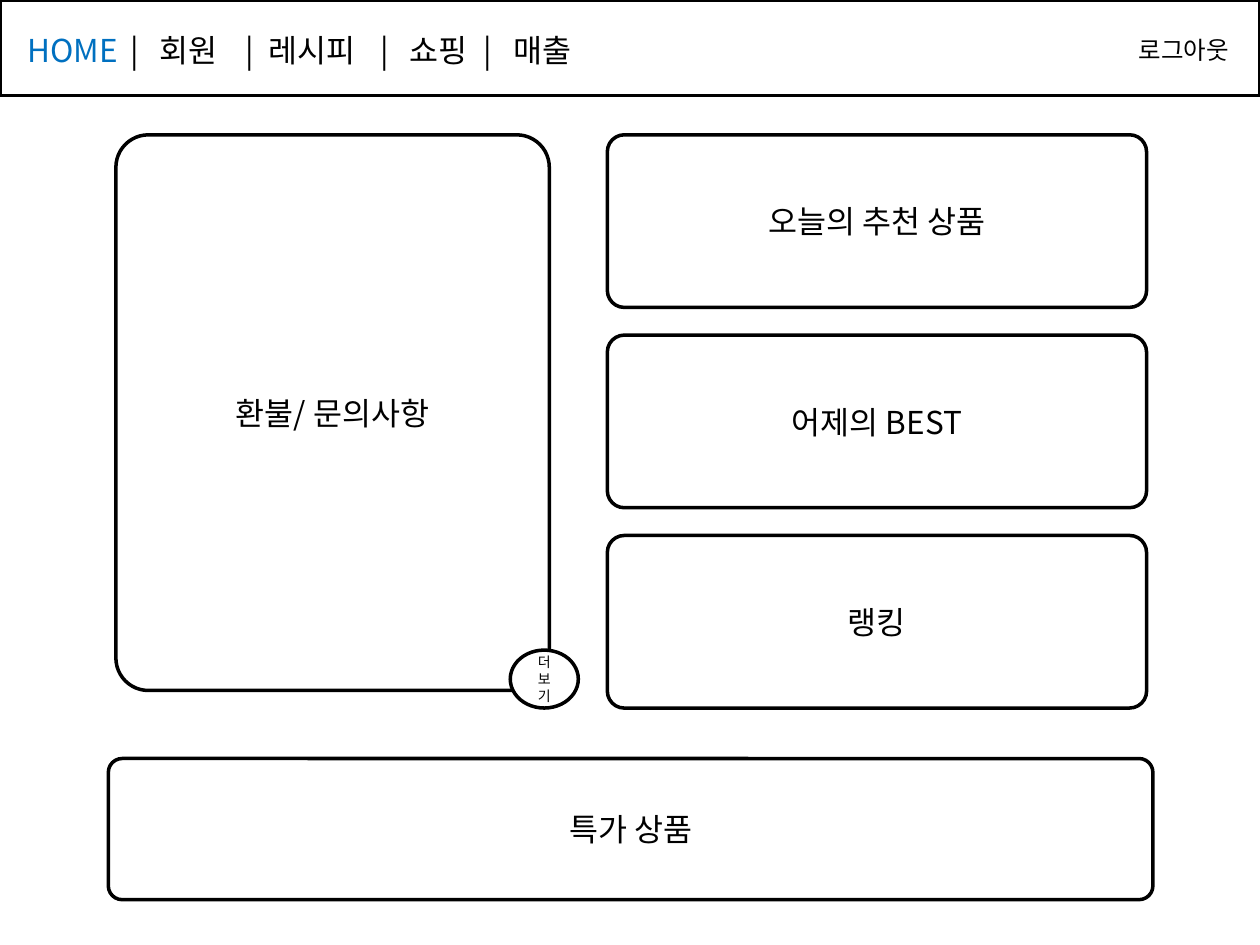
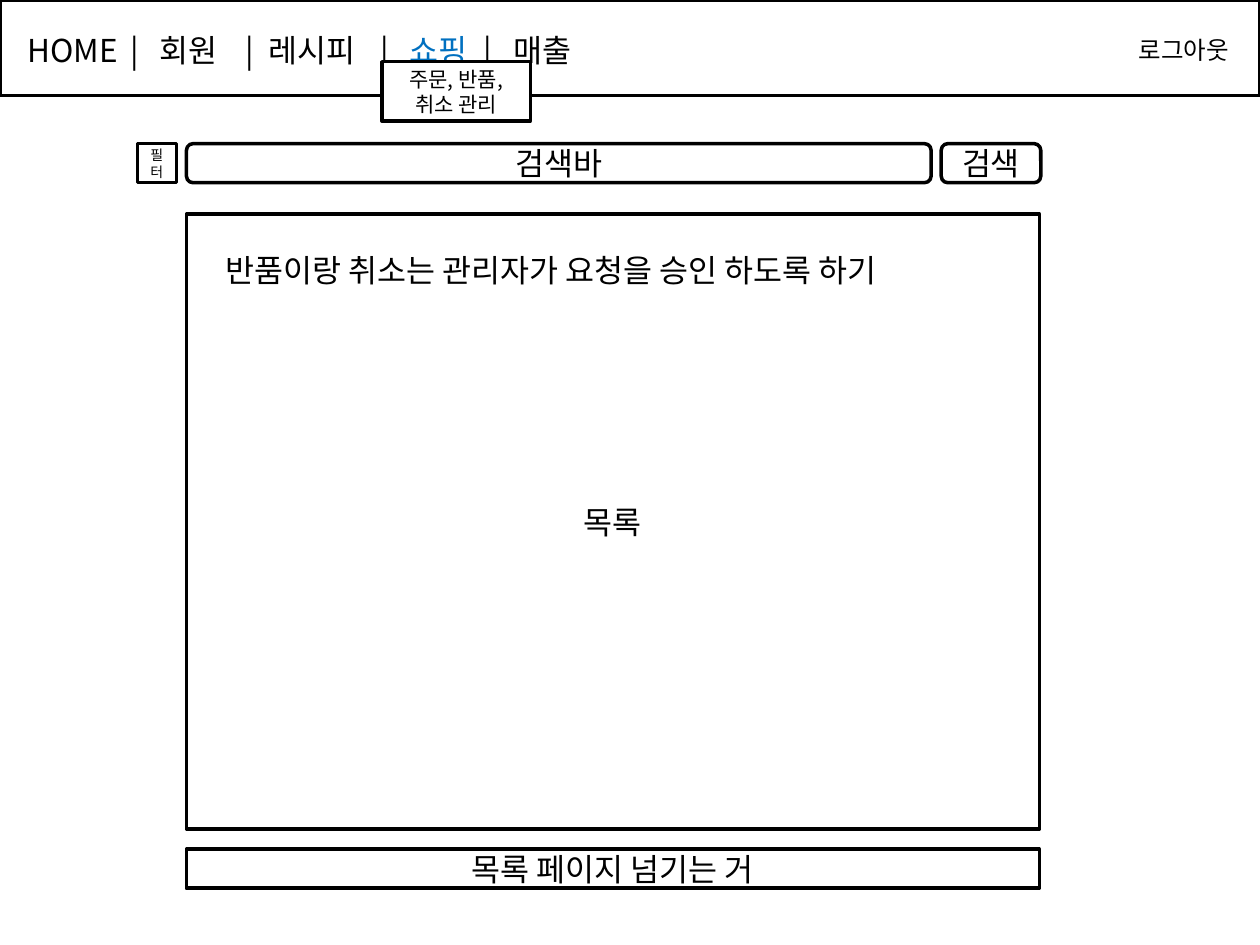
from pptx import Presentation
from pptx.dml.color import RGBColor
from pptx.enum.shapes import MSO_SHAPE as SHAPE
from pptx.enum.text import MSO_ANCHOR, MSO_AUTO_SIZE, PP_ALIGN
from pptx.oxml.ns import qn
from pptx.util import Inches, Pt
from lxml import etree

FONT = "Noto Sans CJK KR"
BLACK, WHITE, ACTIVE = "000000", "FFFFFF", "0070C0"
MENU = ["HOME", "회원", "레시피", "쇼핑", "매출"]
# Left edges of each separator and of the menu item after it
MENU_TABS = [(0.82, 1.05), (1.73, 1.91), (2.8, 3.03), (3.62, 3.86)]


def rgb(color):
    return RGBColor.from_string(color)


def add_run(p, text, size, color=BLACK):
    r = p.add_run()
    r.text = text
    for name, value in {"name": FONT, "size": Pt(size)}.items():
        setattr(r.font, name, value)
    r.font.color.rgb = rgb(color)
    # Korean glyphs take the East Asian typeface
    ea = etree.SubElement(r.font._element, qn("a:ea"))
    ea.set("typeface", FONT)


def add_tab_stops(p, stops):
    tabs = etree.SubElement(p._p.get_or_add_pPr(), qn("a:tabLst"))
    for stop in stops:
        etree.SubElement(tabs, qn("a:tab"), pos=str(Inches(stop)), algn="l")


def add_panel(slide, box, text="", size=18, shape=SHAPE.RECTANGLE, radius=None):
    sp = slide.shapes.add_shape(shape, *map(Inches, box))
    sp.shadow.inherit = False
    sp.fill.solid()
    sp.fill.fore_color.rgb = rgb(WHITE)
    sp.line.color.rgb = rgb(BLACK)
    sp.line.width = Pt(2)
    if radius is not None:
        sp.adjustments[0] = radius
    if text:
        tf = sp.text_frame
        for name, value in {"word_wrap": True,
                            "vertical_anchor": MSO_ANCHOR.MIDDLE}.items():
            setattr(tf, name, value)
        p = tf.paragraphs[0]
        p.alignment = PP_ALIGN.CENTER
        add_run(p, text, size)


def add_label(slide, box):
    """Add an empty text box and return its paragraph."""
    tf = slide.shapes.add_textbox(*map(Inches, box)).text_frame
    for name, value in {"word_wrap": True,
                        "auto_size": MSO_AUTO_SIZE.SHAPE_TO_FIT_TEXT}.items():
        setattr(tf, name, value)
    return tf.paragraphs[0]


def add_nav_bar(slide, box, active):
    x, y, w, h = box
    add_panel(slide, box)
    p = add_label(slide, (x + 0.12, y + 0.2, 6.69, 0.4))
    add_tab_stops(p, [stop for pair in MENU_TABS for stop in pair])
    for i, item in enumerate(MENU):
        if i:
            add_run(p, "\t|\t", 18)
        add_run(p, item, 18, ACTIVE if item == active else BLACK)
    add_run(add_label(slide, (x + w - 1.06, y + 0.23, 1.06, 0.34)), "로그아웃", 14)


def add_inquiries(slide, box):
    x, y, w, h = box
    add_panel(slide, box, "환불/ 문의사항", shape=SHAPE.ROUNDED_RECTANGLE, radius=0.075)
    add_panel(slide, (x + w - 0.31, y + h - 0.32, 0.54, 0.46), "더보기", 8, SHAPE.OVAL)


def add_cards(slide, box, titles, gap=0.22):
    """Stack equal rounded cards to fill the box."""
    x, y, w, h = box
    card_h = (h - gap * (len(titles) - 1)) / len(titles)
    for i, title in enumerate(titles):
        add_panel(slide, (x, y + i * (card_h + gap), w, card_h), title,
                  shape=SHAPE.ROUNDED_RECTANGLE, radius=0.098)


def add_search_row(slide, box):
    x, y, w, h = box
    gap, button_w = 0.08, 0.79
    bar_x = x + h + gap
    button_x = x + w - button_w
    add_panel(slide, (x, y, h, h), "필터", 8)
    add_panel(slide, (bar_x, y, button_x - gap - bar_x, h), "검색바",
              shape=SHAPE.ROUNDED_RECTANGLE)
    add_panel(slide, (button_x, y, button_w, h), "검색", shape=SHAPE.ROUNDED_RECTANGLE)


def add_list(slide, box):
    x, y, w, h = box
    pager_h, gap = 0.31, 0.16
    add_panel(slide, (x, y, w, h - pager_h - gap), "목록")
    add_panel(slide, (x, y + h - pager_h, w, pager_h), "목록 페이지 넘기는 거")
    note = add_label(slide, (x + 0.21, y + 0.24, 5.98, 0.4))
    add_run(note, "반품이랑 취소는 관리자가 요청을 승인 하도록 하기", 18)


def add_page(prs, active):
    slide = prs.slides.add_slide(prs.slide_layouts[6])
    add_nav_bar(slide, (0, 0, 10, 0.76), active)
    return slide


def build_home(prs):
    slide = add_page(prs, "HOME")
    add_inquiries(slide, (0.92, 1.07, 3.44, 4.41))
    add_cards(slide, (4.82, 1.07, 4.28, 4.55), ["오늘의 추천 상품", "어제의 BEST", "랭킹"])
    add_cards(slide, (0.86, 6.02, 8.29, 1.12), ["특가 상품"])


def build_shopping(prs):
    slide = add_page(prs, "쇼핑")
    add_panel(slide, (3.03, 0.49, 1.18, 0.47), "주문, 반품, 취소 관리", 12)
    add_search_row(slide, (1.09, 1.14, 7.17, 0.31))
    add_list(slide, (1.48, 1.7, 6.77, 5.35))


def main():
    prs = Presentation()
    prs.slide_width, prs.slide_height = Inches(10), Inches(7.5)
    build_home(prs)
    build_shopping(prs)
    prs.save("out.pptx")


if __name__ == "__main__":
    main()
